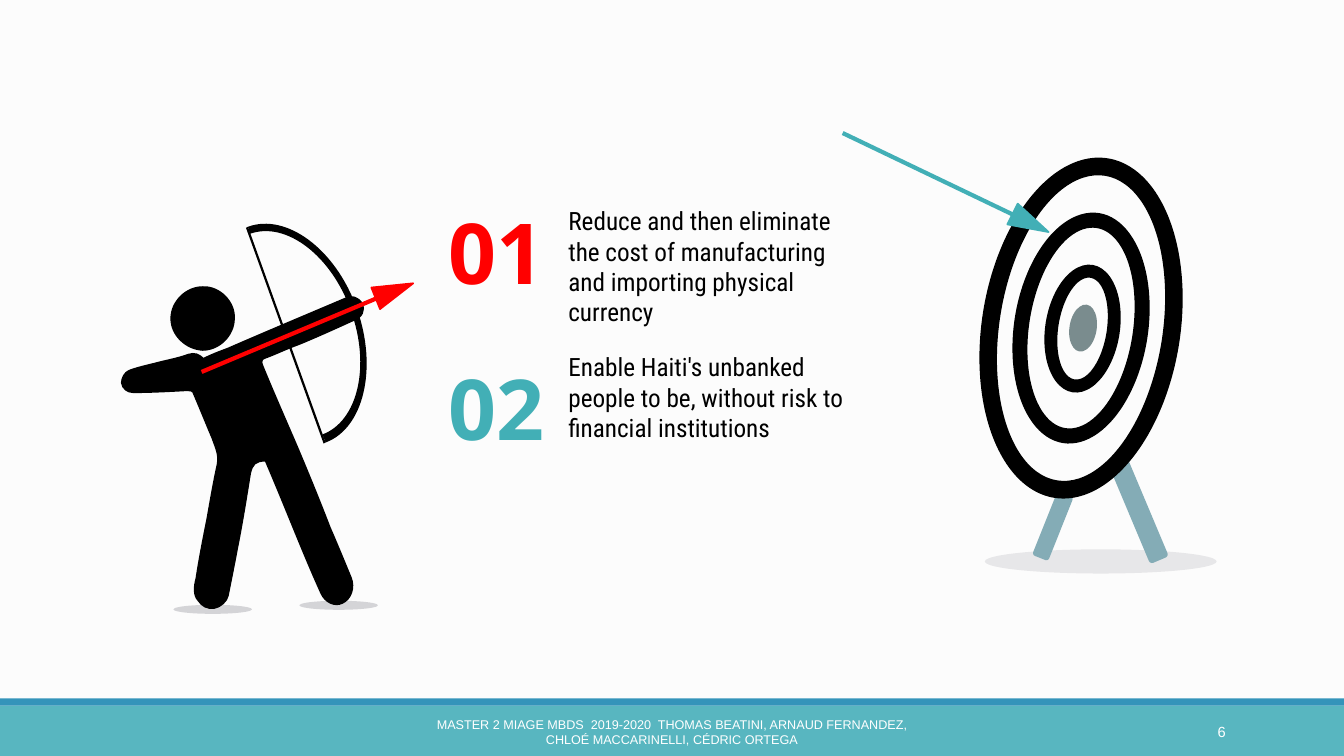
import math

from lxml import etree
from pptx import Presentation
from pptx.dml.color import RGBColor
from pptx.enum.shapes import MSO_CONNECTOR, MSO_SHAPE
from pptx.enum.text import MSO_ANCHOR, PP_ALIGN
from pptx.oxml.ns import qn
from pptx.util import Emu, Pt

RECTANGLE = MSO_SHAPE.RECTANGLE
ROUNDED = MSO_SHAPE.ROUNDED_RECTANGLE
OVAL = MSO_SHAPE.OVAL
DONUT = MSO_SHAPE.DONUT
TRIANGLE = MSO_SHAPE.ISOSCELES_TRIANGLE
STRAIGHT = MSO_CONNECTOR.STRAIGHT
LEFT, CENTER, RIGHT = PP_ALIGN.LEFT, PP_ALIGN.CENTER, PP_ALIGN.RIGHT
TOP, MIDDLE = MSO_ANCHOR.TOP, MSO_ANCHOR.MIDDLE

PX = 9144
SLIDE_WIDTH, SLIDE_HEIGHT = 4000 / 3, 750
BLACK, WHITE, RED, TEAL = "000000", "FFFFFF", "FF0000", "42AFB6"
SHADOW, LEG = "373545", "84ACB6"

BODY = [
    (143, 247),
    (134, 247, 131, 250, 129, 259), (125, 284, 121, 309, 116, 334),
    (113, 350, 110, 365, 107, 380), (106, 386, 99, 392, 93, 393),
    (85, 394, 80, 391, 76, 385), (71, 380, 72, 370, 74, 363),
    (77, 343, 81, 323, 85, 303), (88, 286, 91, 268, 95, 250),
    (97, 240, 93, 233, 90, 224), (84, 210, 78, 195, 72, 181),
    (71, 177, 69, 177, 66, 177), (48, 178, 30, 179, 12, 179),
    (6, 179, 1, 175, 0, 169), (0, 164, 3, 158, 8, 156),
    (16, 153, 25, 151, 33, 149), (44, 146, 56, 144, 67, 140),
    (73, 138, 78, 140, 82, 144), (90, 140, 98, 137, 106, 134),
    (138, 120, 188, 99, 221, 85), (229, 81, 236, 83, 240, 90),
    (243, 97, 240, 104, 232, 107), (219, 113, 188, 127, 175, 132),
    (164, 136, 154, 141, 143, 145), (140, 146, 140, 148, 141, 151),
    (152, 178, 164, 205, 176, 233), (187, 259, 198, 286, 208, 312),
    (215, 328, 222, 345, 229, 362), (233, 372, 229, 384, 220, 388),
    (212, 392, 202, 387, 198, 378), (188, 356, 179, 334, 170, 312),
    (161, 290, 152, 268, 143, 247),
]
HEAD = [
    (113, 105),
    (113, 122, 98, 137, 81, 137), (64, 136, 49, 122, 49, 105),
    (49, 88, 64, 73, 81, 73), (98, 72, 114, 88, 113, 105),
]
BOW = [
    (126, 14), (128, 21, 128, 21, 128, 21),
    (164, 8, 209, 43, 228, 97), (248, 152, 235, 207, 200, 220),
    (203, 228, 203, 228, 203, 228),
    (241, 214, 255, 154, 234, 95), (213, 36, 164, 0, 126, 14),
]
BOWSTRING = [(201, 229), (203, 228), (126, 14), (124, 15)]


def px(length):
    return Emu(round(length * PX))


def color(value):
    return RGBColor.from_string(value)


def paint(shape, fill, opacity=100):
    shape.shadow.inherit = False
    shape.fill.solid()
    shape.fill.fore_color.rgb = color(fill)
    shape.line.fill.background()
    if opacity < 100:
        tint = shape.fill._xPr.find(".//" + qn("a:srgbClr"))
        etree.SubElement(tint, qn("a:alpha")).set("val", str(opacity * 1000))


def add_figure(page, kind, left, top, width, height, fill, opacity=100, rotation=0):
    shape = page.shapes.add_shape(kind, px(left), px(top), px(width), px(height))
    paint(shape, fill, opacity)
    shape.rotation = rotation
    return shape


def add_text(page, left, top, width, height, text, font, size, fill,
             align=LEFT, anchor=TOP, bold=False):
    box = page.shapes.add_textbox(px(left), px(top), px(width), px(height))
    frame = box.text_frame
    frame.word_wrap = True
    frame.vertical_anchor = anchor
    para = frame.paragraphs[0]
    para.text = text
    para.alignment = align
    para.font.name = font
    para.font.size = Pt(size)
    para.font.bold = bold
    para.font.color.rgb = color(fill)


def add_outline(page, left, top, outline):
    points = [(px(left + segment[i]), px(top + segment[i + 1]))
              for segment in outline for i in range(0, len(segment), 2)]
    builder = page.shapes.build_freeform(*points[0])
    builder.add_line_segments(points[1:], close=True)
    shape = builder.convert_to_shape()
    paint(shape, BLACK)
    steps = iter(list(shape._element.iter(qn("a:lnTo"))))
    for segment in outline[1:]:
        step = next(steps)
        if len(segment) == 6:
            step.tag = qn("a:cubicBezTo")
            for _ in range(2):
                control = next(steps)
                step.append(control[0])
                control.getparent().remove(control)


def add_arrow(page, start, tip, fill):
    shaft = page.shapes.add_connector(STRAIGHT, *map(px, start + tip))
    shaft.line.color.rgb = color(fill)
    shaft.line.width = Pt(3)
    etree.SubElement(shaft._element.spPr, qn("a:effectLst"))
    angle = math.atan2(tip[1] - start[1], tip[0] - start[0])
    center_x = tip[0] - 4 * math.cos(angle)
    center_y = tip[1] - 4 * math.sin(angle)
    head = add_figure(page, TRIANGLE, center_x - 11.5, center_y - 20, 23, 40, fill,
                      rotation=91 + math.degrees(angle))
    head.line.color.rgb = color(fill)
    head.line.width = Pt(1.25)


def add_footer(page, left, top, width):
    add_figure(page, RECTANGLE, left, top + 7, width, 50, "58B6C0")
    add_figure(page, RECTANGLE, left, top, width, 7, "3494BA")
    credits = ("MASTER 2 MIAGE MBDS  2019-2020  THOMAS BEATINI, ARNAUD FERNANDEZ, "
               "CHLOÉ MACCARINELLI, CÉDRIC ORTEGA")
    add_text(page, left + 403, top + 13, 527, 40, credits, "Arial", 9, WHITE,
             CENTER, MIDDLE)
    add_text(page, left + 1083, top + 13, 143, 40, "6", "Arial", 10.5, WHITE,
             RIGHT, MIDDLE)


def add_archer(page, left, top):
    for x, y in ((52, 389), (177, 385)):
        add_figure(page, OVAL, left + x, top + y, 78, 9, SHADOW, 20)
    for outline in (BODY, HEAD, BOW, BOWSTRING):
        add_outline(page, left, top, outline)
    add_arrow(page, (left + 80, top + 158), (left + 275, top + 76), RED)


def add_target(page, left, top):
    add_figure(page, OVAL, left + 141, top + 413, 230, 24, SHADOW, 10)
    legs = ((283, 318, 20, 110, 337.2), (200, 356, 17, 68, 21.8))
    for x, y, width, height, tilt in legs:
        add_figure(page, ROUNDED, left + x, top + y, width, height, LEG, rotation=tilt)
    rings = ((138, 23, 197, 341, 0.089), (170, 78, 133, 231, 0.113),
             (201, 130, 74, 128, 0.175))
    for x, y, width, height, thickness in rings:
        ring = add_figure(page, DONUT, left + x, top + y, width, height, BLACK,
                          rotation=8.9)
        ring.adjustments[0] = thickness
    add_figure(page, OVAL, left + 225, top + 170, 27, 47, "7A8C8E", rotation=8.9)
    add_arrow(page, (left, top), (left + 190, top + 91), TEAL)


def add_goals(page, left, top):
    goals = (
        ("01", RED, "Reduce and then eliminate the cost of manufacturing "
                    "and importing physical currency"),
        ("02", TEAL, "Enable Haiti's unbanked people to be, without risk "
                     "to financial institutions"),
    )
    for index, (number, fill, text) in enumerate(goals):
        add_text(page, left, top + 155 * index, 194, 111, number, "Open Sans", 60,
                 fill, CENTER, bold=True)
        add_text(page, left + 158, top + 5 + 145 * index, 302, 131, text,
                 "Roboto Condensed", 18, BLACK)


def main():
    deck = Presentation()
    deck.slide_width, deck.slide_height = px(SLIDE_WIDTH), px(SLIDE_HEIGHT)
    page = deck.slides.add_slide(deck.slide_layouts[6])
    page.background.fill.solid()
    page.background.fill.fore_color.rgb = color("FCFCFC")
    add_footer(page, 0, 693, SLIDE_WIDTH)
    add_archer(page, 120, 211)
    add_goals(page, 396, 194)
    add_target(page, 836, 132)
    deck.save("out.pptx")


if __name__ == "__main__":
    main()
